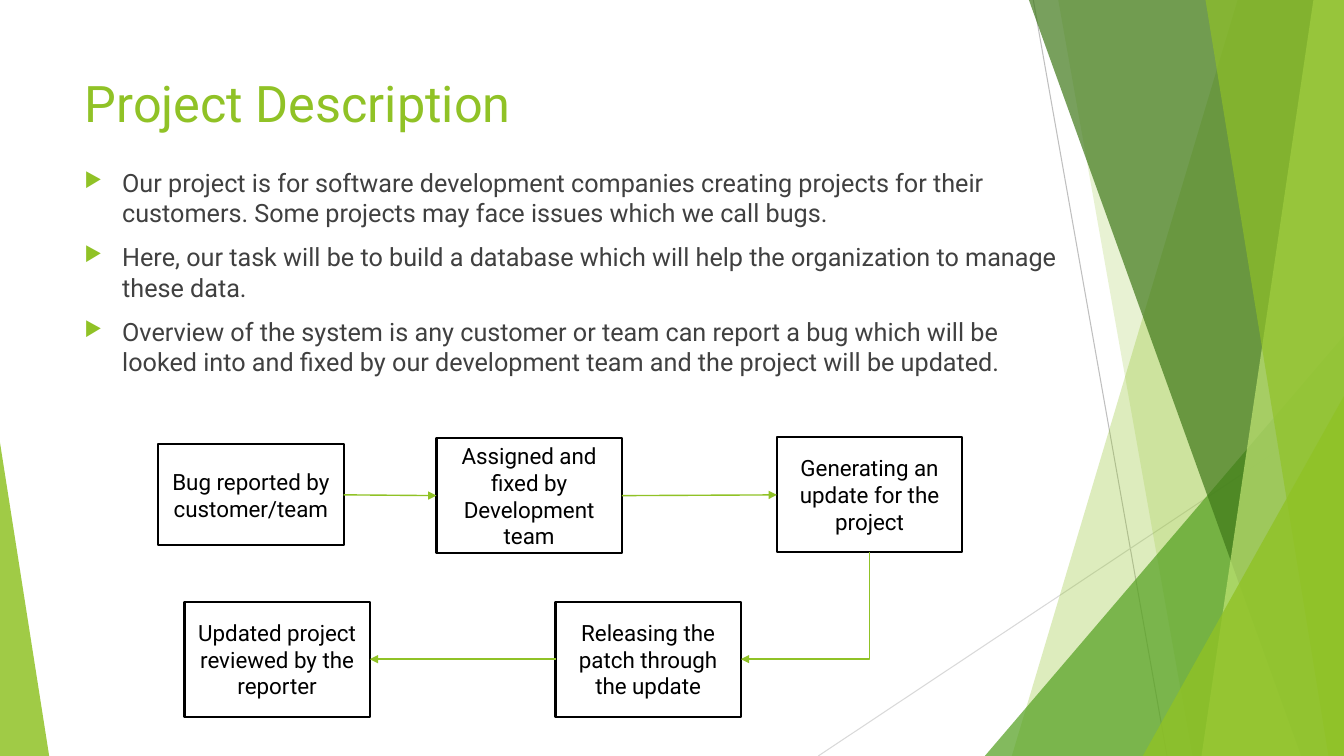
"""Build the project description slide with its bug-handling flow."""
from dataclasses import dataclass
from typing import Union

from lxml.etree import SubElement
from pptx import Presentation
from pptx.dml.color import RGBColor
from pptx.enum.shapes import MSO_CONNECTOR as Connector, MSO_SHAPE as Preset
from pptx.enum.text import MSO_ANCHOR as Anchor, MSO_AUTO_SIZE as AutoSize, PP_ALIGN as Align
from pptx.oxml.ns import qn
from pptx.util import Cm, Pt

WIDTH, HEIGHT = 33.87, 19.05
FONT = "Roboto"
COLOURS = {
    "lime": "90C226", "green": "54A021", "forest": "3F7819", "pale": "C0E474",
    "body": "404040", "black": "000000", "white": "FFFFFF",
    "grey": "BFBFBF", "silver": "D9D9D9",
}
TOP, LEFT, BOTTOM, RIGHT = range(4)


@dataclass
class Band:
    """Full-height facet that reaches from a slanted edge to the right side."""
    top_x: float
    bottom_x: float
    colour: str
    alpha: int


@dataclass
class Wedge:
    """Triangle that stands on the bottom of the slide."""
    left: float
    top: float
    width: float
    apex: float
    colour: str
    alpha: int


@dataclass
class Step:
    """Box of the flow."""
    text: str
    left: float
    top: float
    height: float = 2.9
    width: float = 4.67


@dataclass
class Link:
    """Arrow between the sides of two steps."""
    source: str
    source_side: int
    target: str
    target_side: int


FACETS = [
    Band(31.19, 25.5, "lime", 30),
    Band(26.67, 30.05, "lime", 20),
    Wedge(24.82, 8.46, 9.05, 1, "green", 72),
    Band(25.93, 32.79, "forest", 70),
    Band(33.1, 30.28, "pale", 70),
    Band(30.38, 33.48, "lime", 65),
    Wedge(28.8, 9.98, 5.07, 1, "lime", 80),
    Wedge(0, 11.15, 1.24, 0, "lime", 85),
]
BULLETS = [
    "Our project is for software development companies creating projects for their "
    "customers. Some projects may face issues which we call bugs.",
    "Here, our task will be to build a database which will help the organization to "
    "manage these data.",
    "Overview of the system is any customer or team can report a bug which will be "
    "looked into and fixed by our development team and the project will be updated.",
]
STEPS = {
    "report": Step("Bug reported by\ncustomer/team", 3.99, 11.2, 2.54),
    "fix": Step("Assigned and fixed by Development team", 11, 11.04),
    "update": Step("Generating an update for the project", 19.58, 11.02),
    "release": Step("Releasing the patch through the update", 14, 15.16),
    "review": Step("Updated project reviewed by the reporter", 4.65, 15.16),
}
LINKS = [
    Link("report", RIGHT, "fix", LEFT),
    Link("fix", RIGHT, "update", LEFT),
    Link("update", BOTTOM, "release", RIGHT),
    Link("release", LEFT, "review", RIGHT),
]


def rgb(name: str) -> RGBColor:
    return RGBColor.from_string(COLOURS[name])


def style_text(paragraph, size: float, colour: str, alignment=Align.LEFT) -> None:
    paragraph.alignment = alignment
    for run in paragraph.runs:
        run.font.name = FONT
        run.font.size = Pt(size)
        run.font.color.rgb = rgb(colour)


def style_line(connector, colour: str, weight: float, arrow: bool = False) -> None:
    connector.line.color.rgb = rgb(colour)
    connector.line.width = Pt(weight)
    properties = connector.element.spPr
    if arrow:
        SubElement(properties.find(qn("a:ln")), qn("a:tailEnd"), type="triangle")
    SubElement(properties, qn("a:effectLst"))


def draw_facet(shapes, facet: Union[Band, Wedge]) -> None:
    if isinstance(facet, Band):
        builder = shapes.build_freeform(Cm(facet.top_x), 0)
        corners = [(WIDTH, 0), (WIDTH, HEIGHT), (facet.bottom_x, HEIGHT)]
        builder.add_line_segments([(Cm(x), Cm(y)) for x, y in corners])
        shape = builder.convert_to_shape()
    else:
        shape = shapes.add_shape(Preset.ISOSCELES_TRIANGLE, Cm(facet.left), Cm(facet.top),
                                 Cm(facet.width), Cm(HEIGHT - facet.top))
        shape.adjustments[0] = facet.apex
    shape.fill.solid()
    shape.fill.fore_color.rgb = rgb(facet.colour)
    shape.line.fill.background()
    shape.shadow.inherit = False
    colour = shape.element.spPr.find(qn("a:solidFill"))[0]
    SubElement(colour, qn("a:alpha"), val=str(facet.alpha * 1000))


def draw_title(title) -> None:
    title.left, title.top, title.width, title.height = Cm(1.88), Cm(1.7), Cm(23.88), Cm(3.66)
    frame = title.text_frame
    frame.text = "Project Description"
    frame.auto_size = AutoSize.NONE
    frame.vertical_anchor = Anchor.TOP
    style_text(frame.paragraphs[0], 36, "lime")


def draw_bullets(shapes) -> None:
    frame = shapes.add_textbox(Cm(1.88), Cm(4.09), Cm(25.2), Cm(10.77)).text_frame
    frame.word_wrap = True
    frame.text = "\n".join(BULLETS)
    for paragraph in frame.paragraphs:
        style_text(paragraph, 18, "body")
        paragraph.space_before = Pt(10)
        properties = paragraph._p.get_or_add_pPr()
        properties.set("marL", str(Cm(0.95)))
        properties.set("indent", str(-Cm(0.95)))
        colour = SubElement(properties, qn("a:buClr"))
        SubElement(colour, qn("a:srgbClr"), val=COLOURS["lime"])
        SubElement(properties, qn("a:buSzPct"), val="80000")
        SubElement(properties, qn("a:buChar"), char="\u25b6")


def draw_step(shapes, step: Step):
    shape = shapes.add_shape(Preset.RECTANGLE, Cm(step.left), Cm(step.top),
                             Cm(step.width), Cm(step.height))
    shape.fill.solid()
    shape.fill.fore_color.rgb = rgb("white")
    shape.line.color.rgb = rgb("black")
    shape.line.width = Pt(1.5)
    shape.shadow.inherit = False
    frame = shape.text_frame
    frame.text = step.text
    frame.word_wrap = True
    frame.vertical_anchor = Anchor.MIDDLE
    for paragraph in frame.paragraphs:
        style_text(paragraph, 16, "black", Align.CENTER)
    return shape


def turn_corner(connector) -> None:
    """Make the connector run down first and then left, with a single bend."""
    across, down = connector.width, connector.height
    centre_x, centre_y = connector.left + across // 2, connector.top + down // 2
    connector.left, connector.top = centre_x - down // 2, centre_y - across // 2
    connector.width, connector.height = down, across
    properties = connector.element.spPr
    properties.find(qn("a:prstGeom")).set("prst", "bentConnector2")
    frame = properties.find(qn("a:xfrm"))
    frame.attrib.pop("flipH", None)
    frame.set("rot", "5400000")


def draw_link(shapes, link: Link, boxes: dict) -> None:
    bent = link.source_side == BOTTOM
    kind = Connector.ELBOW if bent else Connector.STRAIGHT
    connector = shapes.add_connector(kind, 0, 0, 0, 0)
    connector.begin_connect(boxes[link.source], link.source_side)
    connector.end_connect(boxes[link.target], link.target_side)
    if bent:
        turn_corner(connector)
    style_line(connector, "lime", 1, arrow=True)


presentation = Presentation()
presentation.slide_width, presentation.slide_height = Cm(WIDTH), Cm(HEIGHT)
slide = presentation.slides.add_slide(presentation.slide_layouts.get_by_name("Title Only"))
shapes = slide.shapes
for start_x, start_y, end_x, colour in [(26.04, 0, 29.41, "grey"), (WIDTH, 10.24, 20.62, "silver")]:
    hairline = shapes.add_connector(Connector.STRAIGHT, Cm(start_x), Cm(start_y), Cm(end_x), Cm(HEIGHT))
    style_line(hairline, colour, 0.75)
for facet in FACETS:
    draw_facet(shapes, facet)
draw_title(shapes.title)
draw_bullets(shapes)
boxes = {name: draw_step(shapes, step) for name, step in STEPS.items()}
for link in LINKS:
    draw_link(shapes, link, boxes)
presentation.save("out.pptx")
